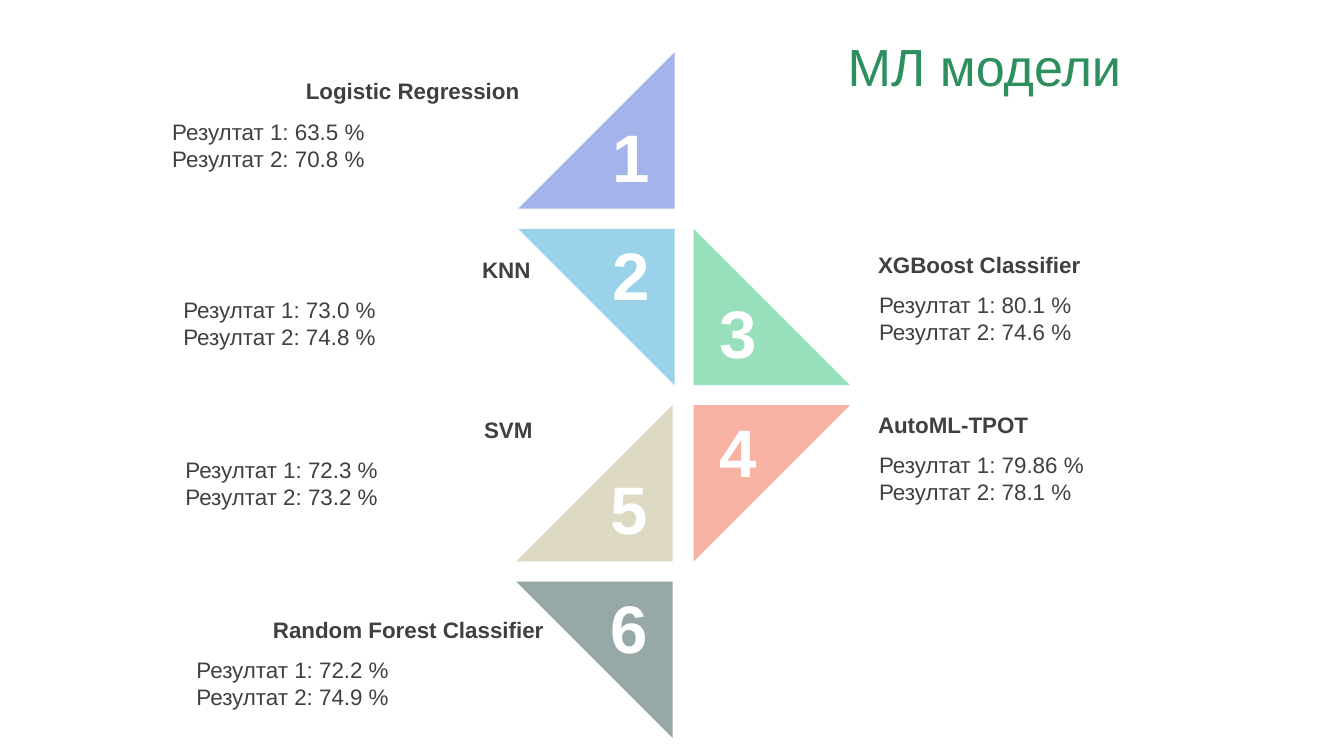
from pptx import Presentation
from pptx.dml.color import RGBColor
from pptx.enum.shapes import MSO_SHAPE as Preset
from pptx.enum.text import MSO_ANCHOR as Anchor, MSO_AUTO_SIZE as AutoSize, PP_ALIGN as Align
from pptx.util import Inches, Pt

PERIWINKLE = RGBColor(0xA4, 0xB4, 0xEA)
SKY = RGBColor(0x9A, 0xD3, 0xE9)
MINT = RGBColor(0x98, 0xDF, 0xBB)
SALMON = RGBColor(0xF8, 0xB2, 0xA3)
SAND = RGBColor(0xDD, 0xD9, 0xC3)
SLATE = RGBColor(0x97, 0xA8, 0xA8)
GREEN = RGBColor(0x2C, 0x8F, 0x5D)
GREY = RGBColor(0x40, 0x40, 0x40)
WHITE = RGBColor(0xFF, 0xFF, 0xFF)

# Content: name, results, colour, side, grid row, triangle left, caption left and top
TITLE = "MЛ модели"
MODELS = [
    ("Logistic Regression", ("63.5", "70.8"), PERIWINKLE, "left", 0, 5.14, 1.60, 0.72),
    ("KNN", ("73.0", "74.8"), SKY, "left", 1, 5.14, 1.71, 2.49),
    ("XGBoost Classifier", ("80.1", "74.6"), MINT, "right", 1, 6.88, 8.61, 2.44),
    ("AutoML-TPOT", ("79.86", "78.1"), SALMON, "right", 2, 6.88, 8.61, 4.03),
    ("SVM", ("72.3", "73.2"), SAND, "left", 2, 5.12, 1.73, 4.08),
    ("Random Forest Classifier", ("72.2", "74.9"), SLATE, "left", 3, 5.12, 1.84, 6.06),
]

# Grid in inches
TOP, ROW, TRIANGLE = 0.52, 1.75, 1.55
DIGIT_WIDTH, DIGIT_HEIGHT = 0.81, 0.91
DIGIT_LEFT = {"left": 0.72, "right": 0.04}
DIGIT_TOP = {"bottom": 0.57, "top": 0}
CAPTION_WIDTH, RESULTS_DROP = 3.68, 0.4
# Turn of the triangle for the corner that holds its right angle
TURN = {("right", "bottom"): 0, ("right", "top"): 90,
        ("left", "top"): 180, ("left", "bottom"): 270}

deck = Presentation()
deck.slide_width, deck.slide_height = Inches(13.33), Inches(7.5)
slide = deck.slides.add_slide(deck.slide_layouts[6])


def add_text(lines, left, top, width, height, size, color,
             bold=False, align=Align.LEFT, grow=True):
    box = slide.shapes.add_textbox(*map(Inches, (left, top, width, height)))
    frame = box.text_frame
    frame.word_wrap = True
    frame.auto_size = AutoSize.SHAPE_TO_FIT_TEXT if grow else AutoSize.NONE
    frame.vertical_anchor = Anchor.TOP if grow else Anchor.MIDDLE
    for index, line in enumerate(lines):
        paragraph = frame.add_paragraph() if index else frame.paragraphs[0]
        paragraph.alignment = align
        run = paragraph.add_run()
        run.text = line
        run.font.name, run.font.size = "Arial", Pt(size)
        run.font.bold, run.font.color.rgb = bold, color


# Title
add_text([TITLE], 3.1, 0.23, 13.33, 0.84, 37.3, GREEN, align=Align.CENTER, grow=False)

for number, (name, results, color, side, row, left, caption_left, caption_top) in enumerate(MODELS, 1):
    # Triangle: even rows point up, odd rows down on the left; mirrored on the right
    edge = "bottom" if (row % 2 == 0) == (side == "left") else "top"
    top = TOP + row * ROW
    triangle = slide.shapes.add_shape(
        Preset.RIGHT_TRIANGLE, *map(Inches, (left, top, TRIANGLE, TRIANGLE)))
    triangle.rotation = TURN[side, edge]
    triangle.shadow.inherit = False
    triangle.fill.solid()
    triangle.fill.fore_color.rgb = color
    triangle.line.fill.background()

    # Number
    add_text([str(number)], left + DIGIT_LEFT[side], top + DIGIT_TOP[edge],
             DIGIT_WIDTH, DIGIT_HEIGHT, 48, WHITE, bold=True, align=Align.CENTER)

    # Name and results
    add_text([name], caption_left, caption_top, CAPTION_WIDTH - 0.03 * (side == "left"), 0.37,
             16, GREY, bold=True, align=Align.RIGHT if side == "left" else Align.LEFT)
    add_text([f"Резултат {trial}: {score} %" for trial, score in enumerate(results, 1)],
             caption_left + 0.01, caption_top + RESULTS_DROP, CAPTION_WIDTH, 0.64, 16, GREY)

deck.save("out.pptx")
